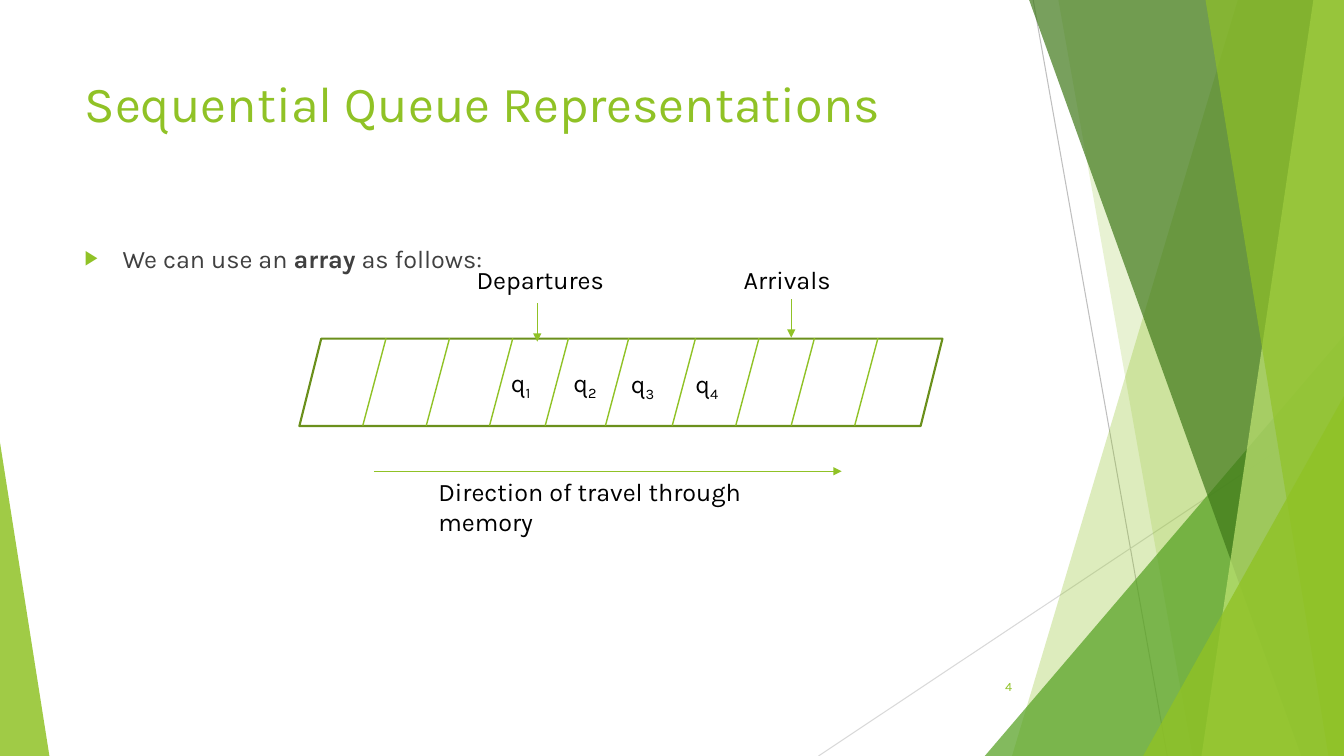
"""Build a slide that shows a queue stored in an array."""
from dataclasses import dataclass

from lxml import etree
from pptx import Presentation
from pptx.dml.color import RGBColor
from pptx.enum.shapes import MSO_CONNECTOR, MSO_SHAPE
from pptx.enum.text import MSO_ANCHOR, MSO_AUTO_SIZE, PP_ALIGN
from pptx.oxml.ns import qn
from pptx.util import Pt

LINE = MSO_CONNECTOR.STRAIGHT
PEAK, ARRAY = MSO_SHAPE.ISOSCELES_TRIANGLE, MSO_SHAPE.PARALLELOGRAM
TOP, MIDDLE = MSO_ANCHOR.TOP, MSO_ANCHOR.MIDDLE
LEFT, RIGHT = PP_ALIGN.LEFT, PP_ALIGN.RIGHT
FIXED, GROW = MSO_AUTO_SIZE.NONE, MSO_AUTO_SIZE.SHAPE_TO_FIT_TEXT
WIDE, HIGH = 960, 540
FONT = "Karla"
HEX = {
    "lime": "90C226", "leaf": "54A021", "moss": "3F7819", "pale": "C0E474",
    "edge": "6B901C", "gray": "BFBFBF", "mist": "D9D9D9", "ink": "404040",
    "black": "000000", "white": "FFFFFF",
}


@dataclass
class Facet:
    top: float
    foot: float
    color: str
    alpha: int


@dataclass
class Peak:
    left: float
    top: float
    width: float
    tip: float
    color: str
    alpha: int


@dataclass
class Stroke:
    start: tuple[float, float]
    end: tuple[float, float]
    color: str = "lime"
    weight: float = 1
    arrow: bool = False


@dataclass
class Label:
    text: str
    left: float
    top: float
    width: float
    height: float = 29
    sub: str = ""


DECOR = [
    Stroke((738, 0), (833.76, HIGH), "gray", 0.75),
    Stroke((WIDE, 290.16), (584.64, HIGH), "mist", 0.75),
    Facet(884.16, 722.88, "lime", 30),
    Facet(756, 851.76, "lime", 20),
    Peak(703.44, 239.76, 256.56, 1, "leaf", 72),
    Facet(735.12, 929.52, "moss", 70),
    Facet(938.16, 858.24, "pale", 70),
    Facet(861.12, 948.96, "lime", 65),
    Peak(816.48, 282.96, 143.52, 1, "lime", 80),
    Peak(0, 316.08, 35.28, 0, "lime", 85),
]
ROOF, FLOOR, LEAN = 241.6, 304, 16.6
SPLITS = [275.76, 321.12, 366.3, 406.08, 449.1, 496.8, 542.16, 581.76, 627.12]
ARROWS = [
    Stroke((565.2, 213.84), (565.2, 241.2), arrow=True),
    Stroke((383.76, 216.72), (383.76, 244.08), arrow=True),
    Stroke((267.12, 336.6), (601.2, 336.6), arrow=True),
]
SLOTS = [(357.84, 258.5), (402.48, 258.5), (443.52, 259.5), (489.6, 259.5)]
LABELS = [
    *(Label("q", x, y, 40.32, sub=str(n)) for n, (x, y) in enumerate(SLOTS, 1)),
    Label("Departures", 333.36, 185.04, 105.84),
    Label("Arrivals", 524.16, 185.04, 105.84),
    Label("Direction of travel through memory", 306, 336.6, 295.2, 51),
]


def tint(name: str) -> RGBColor:
    return RGBColor.from_string(HEX[name])


def paint(shape, color: str, alpha: int = 100) -> None:
    shape.shadow.inherit = False
    shape.fill.solid()
    shape.fill.fore_color.rgb = tint(color)
    shape.line.fill.background()
    if alpha < 100:
        node = shape._element.spPr.find(qn("a:solidFill"))[0]
        etree.SubElement(node, qn("a:alpha"), val=str(alpha * 1000))


def draw_facet(shapes, facet: Facet) -> None:
    form = shapes.build_freeform(Pt(facet.top), 0)
    form.add_line_segments(
        [(Pt(WIDE), 0), (Pt(WIDE), Pt(HIGH)), (Pt(facet.foot), Pt(HIGH))])
    paint(form.convert_to_shape(), facet.color, facet.alpha)


def draw_peak(shapes, peak: Peak) -> None:
    shape = shapes.add_shape(PEAK, Pt(peak.left), Pt(peak.top),
                             Pt(peak.width), Pt(HIGH - peak.top))
    shape.adjustments[0] = peak.tip
    paint(shape, peak.color, peak.alpha)


def draw_stroke(shapes, stroke: Stroke) -> None:
    ends = [Pt(v) for v in (*stroke.start, *stroke.end)]
    line = shapes.add_connector(LINE, *ends)
    line.line.color.rgb = tint(stroke.color)
    line.line.width = Pt(stroke.weight)
    if stroke.arrow:
        etree.SubElement(line.line._get_or_add_ln(), qn("a:tailEnd"), type="triangle")
    etree.SubElement(line._element.spPr, qn("a:effectLst"))


def style(run, size: float, color: str, bold: bool = False) -> None:
    run.font.name = FONT
    run.font.size = Pt(size)
    run.font.bold = bold
    run.font.color.rgb = tint(color)


def draw_label(shapes, label: Label) -> None:
    box = shapes.add_textbox(Pt(label.left), Pt(label.top),
                             Pt(label.width), Pt(label.height))
    frame = box.text_frame
    frame.word_wrap = True
    frame.auto_size = GROW
    frame.text = label.text
    line = frame.paragraphs[0]
    if label.sub:
        run = line.add_run()
        run.text = label.sub
        run._r.get_or_add_rPr().set("baseline", "-25000")
    for run in line.runs:
        style(run, 18, "black")


def place(holder, top: float, height: float, text: str):
    holder.left, holder.top = Pt(53.28), Pt(top)
    holder.width, holder.height = Pt(676.8), Pt(height)
    frame = holder.text_frame
    frame.word_wrap = True
    frame.auto_size = FIXED
    frame.vertical_anchor = TOP
    frame.text = text
    line = frame.paragraphs[0]
    line.alignment = LEFT
    line.space_before = Pt(0)
    return line


def add_bullet(line) -> None:
    props = line._p.get_or_add_pPr()
    props.set("marL", str(Pt(27)))
    props.set("indent", str(Pt(-27)))
    color = etree.SubElement(props, qn("a:buClr"))
    etree.SubElement(color, qn("a:srgbClr"), val=HEX["lime"])
    etree.SubElement(props, qn("a:buSzPct"), val="80000")
    etree.SubElement(props, qn("a:buFont"), typeface="Arial")
    etree.SubElement(props, qn("a:buChar"), char="▶")


def draw_array(shapes) -> None:
    shape = shapes.add_shape(ARRAY, Pt(213.84), Pt(241.92), Pt(459.36), Pt(62.4))
    paint(shape, "white")
    shape.line.color.rgb = tint("edge")
    shape.line.width = Pt(1.5)
    for x in SPLITS:
        draw_stroke(shapes, Stroke((x, ROOF), (x - LEAN, FLOOR)))


def draw_number(shapes) -> None:
    box = shapes.add_textbox(Pt(676.08), Pt(475.92), Pt(54), Pt(28.8))
    frame = box.text_frame
    frame.word_wrap = True
    frame.vertical_anchor = MIDDLE
    frame.text = "4"
    frame.paragraphs[0].alignment = RIGHT
    style(frame.paragraphs[0].runs[0], 9, "lime")


def main() -> None:
    deck = Presentation()
    deck.slide_width, deck.slide_height = Pt(WIDE), Pt(HIGH)
    slide = deck.slides.add_slide(deck.slide_layouts[1])
    shapes = slide.shapes
    tools = {Facet: draw_facet, Peak: draw_peak, Stroke: draw_stroke}
    for part in DECOR:
        tools[type(part)](shapes, part)
    title = place(shapes.title, 48.24, 103.68, "Sequential Queue Representations")
    style(title.runs[0], 36, "lime")
    body = place(slide.placeholders[1], 169.92, 305.28, "We can use an ")
    add_bullet(body)
    for text in ("array", " as follows:"):
        body.add_run().text = text
    for run in body.runs:
        style(run, 18, "ink", run.text == "array")
    draw_array(shapes)
    for label in LABELS:
        draw_label(shapes, label)
    for arrow in ARROWS:
        draw_stroke(shapes, arrow)
    draw_number(shapes)
    deck.save("out.pptx")


if __name__ == "__main__":
    main()
